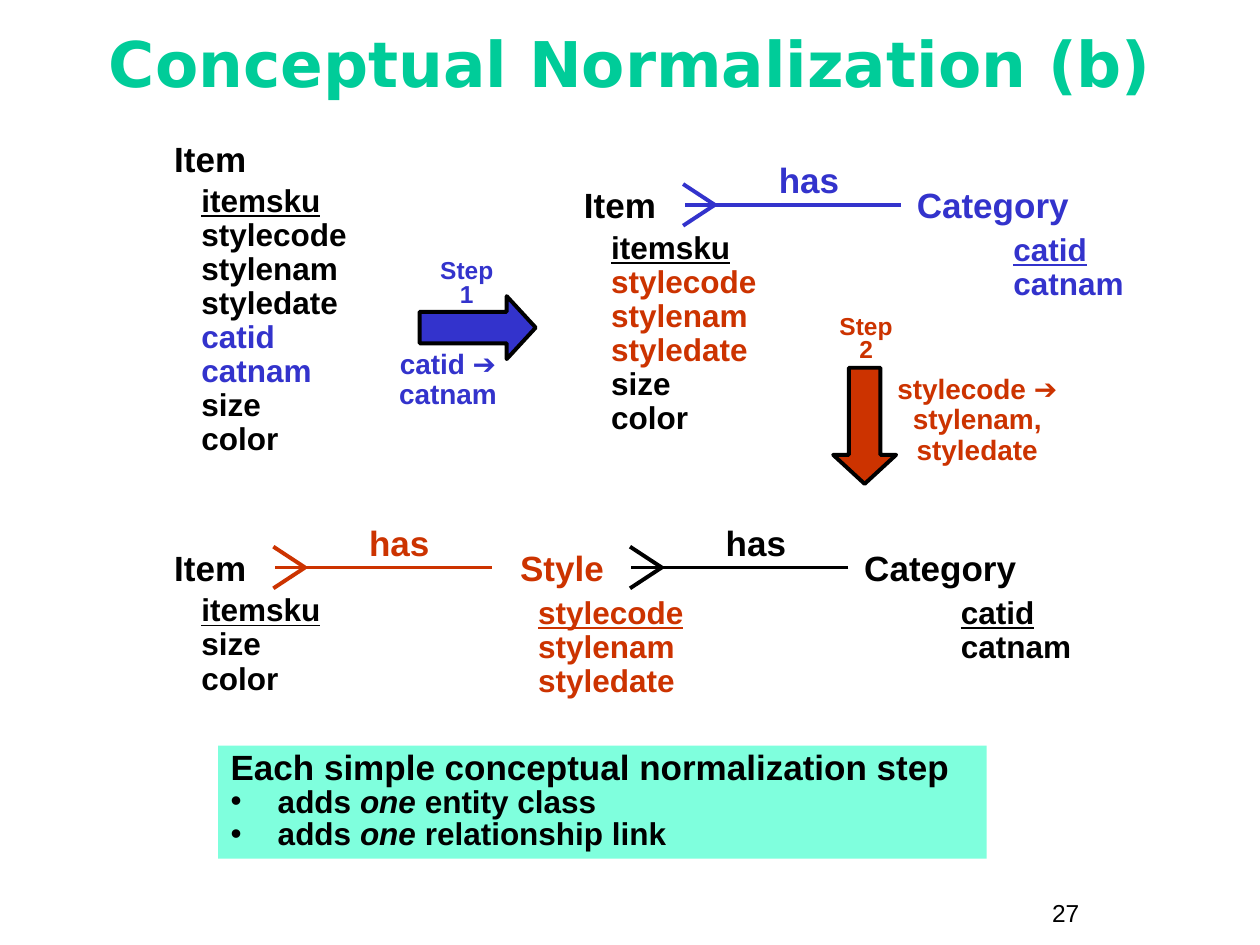
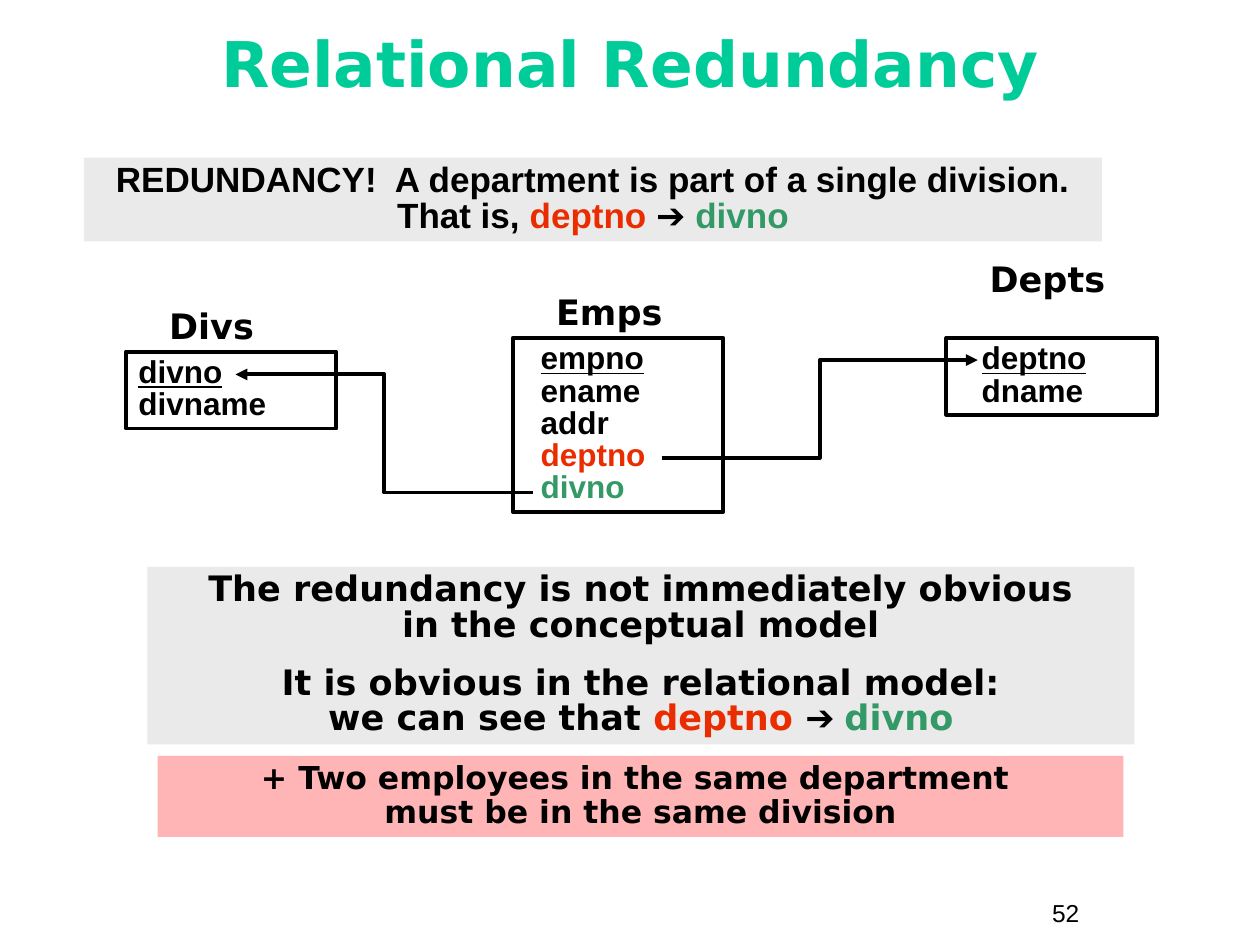
from collections import namedtuple

from lxml import etree
from pptx import Presentation
from pptx.dml.color import RGBColor
from pptx.enum import shapes, text
from pptx.oxml import ns
from pptx.util import Cm, Pt

# Shared style
BLACK = RGBColor(0x00, 0x00, 0x00)
WHITE = RGBColor(0xFF, 0xFF, 0xFF)
TEAL = RGBColor(0x00, 0xCC, 0x99)
BLUE = RGBColor(0x33, 0x33, 0xCC)
RUST = RGBColor(0xCC, 0x33, 0x00)
RED = RGBColor(0xEA, 0x2D, 0x00)
GREEN = RGBColor(0x33, 0x99, 0x66)
MINT = RGBColor(0x7F, 0xFF, 0xDD)
GRAY = RGBColor(0xEA, 0xEA, 0xEA)
PINK = RGBColor(0xFF, 0xB5, 0xB5)
SANS, DISPLAY = "Arial", "DejaVu Sans"
LINE_WIDTH = Pt(2.25)
LEFT, CENTER = text.PP_ALIGN.LEFT, text.PP_ALIGN.CENTER
TOP, MIDDLE = text.MSO_ANCHOR.TOP, text.MSO_ANCHOR.MIDDLE
RECTANGLE = shapes.MSO_SHAPE.RECTANGLE

Span = namedtuple("Span", "words color font underline italic",
                  defaults=(BLACK, SANS, False, False))


def sub_element(parent, tag, **attributes):
    return etree.SubElement(parent, ns.qn(tag), attributes)


# Text
def write(box, paragraphs, size, align=LEFT, spacing=1.0, before=0, indent=0,
          anchor=TOP, wrap=True, bold=True):
    """Fill a box with paragraphs, each a list of spans."""
    frame = box.text_frame
    frame.auto_size = text.MSO_AUTO_SIZE.NONE
    frame.word_wrap = wrap
    frame.vertical_anchor = anchor
    frame.margin_left = frame.margin_right = Cm(0.25)
    frame.margin_top = frame.margin_bottom = Cm(0.13)
    for index, spans in enumerate(paragraphs):
        para = frame.add_paragraph() if index else frame.paragraphs[0]
        if indent:
            para._p.get_or_add_pPr().set("marL", str(Cm(indent)))
        para.alignment = align
        para.line_spacing = spacing
        para.space_before = Pt(before if index else 0)
        for span in spans:
            add_span(para, span, size, bold)
    return frame


def add_span(para, span, size, bold):
    for index, line in enumerate(span.words.split("\n")):
        if index:
            para.add_line_break()
        run = para.add_run()
        run.text = line
        run.font.name = span.font
        run.font.size = Pt(size)
        run.font.bold = bold
        run.font.italic = span.italic
        run.font.underline = span.underline
        run.font.color.rgb = span.color


def attribute_lines(names, color=BLACK, marked=None):
    """One paragraph per attribute; the first is the underlined key."""
    marked = marked or {}
    return [[Span(name, marked.get(name, color), underline=index == 0)]
            for index, name in enumerate(names)]


def text_box(page, x, y, width, height, paragraphs, size, **layout):
    box = page.shapes.add_textbox(Cm(x), Cm(y), Cm(width), Cm(height))
    write(box, paragraphs, size, **layout)


# Shapes and lines
def add_box(page, x, y, width, height, fill=None, line=None, preset=RECTANGLE):
    box = page.shapes.add_shape(preset, Cm(x), Cm(y), Cm(width), Cm(height))
    box.shadow.inherit = False
    if fill is None:
        box.fill.background()
    else:
        box.fill.solid()
        box.fill.fore_color.rgb = fill
    if line is None:
        box.line.fill.background()
    else:
        box.line.color.rgb = line
        box.line.width = LINE_WIDTH
    return box


def add_line(page, start, end, color=BLACK, bent=False, arrow=False):
    kind = shapes.MSO_CONNECTOR.ELBOW if bent else shapes.MSO_CONNECTOR.STRAIGHT
    line = page.shapes.add_connector(kind, *map(Cm, start + end))
    line.line.color.rgb = color
    line.line.width = LINE_WIDTH
    if arrow:
        sub_element(line.line._get_or_add_ln(), "a:tailEnd", type="triangle")
    sub_element(line._element.spPr, "a:effectLst")


# Frame shared by all pages
def new_page(deck, title, number):
    page = deck.slides.add_slide(deck.slide_layouts[5])
    heading = page.shapes.title
    heading.left, heading.top = Cm(0.85), Cm(0.21)
    heading.width, heading.height = Cm(23.71), Cm(2.33)
    write(heading, [[Span(title, TEAL, DISPLAY)]], 36, align=CENTER,
          spacing=0.85, anchor=MIDDLE)
    text_box(page, 20.96, 17.98, 2.33, 0.86, [[Span(number)]], 14, bold=False)
    return page


# Conceptual model parts
def entity(page, x, y, width, name, lines, list_dx, list_width, color=BLACK,
           link=None):
    """Entity name, its attributes and an optional link leaving to the right."""
    label = add_box(page, x, y, width, 1.7, line=WHITE)
    write(label, [[Span(name, color)]], 20, align=CENTER, anchor=MIDDLE,
          wrap=False)
    if link is not None:
        many_to_one(page, x + width, y + 0.85, link)
    list_dy = 1.27 if name == "Item" else 1.32
    text_box(page, x + list_dx, y + list_dy, list_width,
             0.25 + 0.69 * len(lines), lines, 18, spacing=0.9)


def many_to_one(page, x, y, color):
    add_line(page, (x + 4.4, y), (x + 0.03, y), color)
    for toe in (-0.42, 0.42):
        add_line(page, (x + 0.64, y), (x, y + toe), color)
    text_box(page, x + 0.42, y - 1.06, 4.24, 1.12, [[Span("has", color)]], 20,
             align=CENTER)


def step(page, x, y, color, label, label_offset, note, note_box, turn=0):
    """Block arrow with its step label and dependency, placed relative to it."""
    arrow = add_box(page, x, y, 2.34, 1.27, color, BLACK,
                    shapes.MSO_SHAPE.RIGHT_ARROW)
    arrow.adjustments[0], arrow.adjustments[1] = 0.5, 0.46
    arrow.rotation = turn
    dx, dy, width, height = note_box
    text_box(page, x + dx, y + dy, width, height, [[Span(note, color)]], 16,
             align=CENTER, spacing=0.9)
    dx, dy = label_offset
    text_box(page, x + dx, y + dy, 1.9, 1.22, [[Span(label, color)]], 14,
             align=CENTER, spacing=0.8)


def summary(page, x, y, width, height):
    box = add_box(page, x, y, width, height, MINT)
    frame = write(box, [[Span("Each simple conceptual normalization step")]],
                  20, spacing=0.85)
    for added in ("entity class", "relationship link"):
        para = frame.add_paragraph()
        properties = para._p.get_or_add_pPr()
        properties.set("marL", str(Cm(0.95)))
        properties.set("indent", str(-Cm(0.95)))
        sub_element(properties, "a:buFont", typeface=SANS)
        sub_element(properties, "a:buChar", char="•")
        para.alignment = LEFT
        para.line_spacing = 0.85
        for span in (Span("adds "), Span("one", italic=True), Span(" " + added)):
            add_span(para, span, 18, True)


def normalization_page(deck):
    page = new_page(deck, "Conceptual Normalization (b)", "27")
    style = ["stylecode", "stylenam", "styledate"]
    category = ["catid", "catnam"]
    plain = ["size", "color"]

    # Starting entity
    entity(page, 2.97, 2.34, 2.54, "Item",
           attribute_lines(["itemsku"] + style + category + plain,
                           marked=dict.fromkeys(category, BLUE)), 0.84, 6.15)

    # Category split off
    entity(page, 11.23, 3.28, 2.54, "Item",
           attribute_lines(["itemsku"] + style + plain,
                           marked=dict.fromkeys(style, RUST)),
           0.84, 4.01, link=BLUE)
    entity(page, 18.21, 3.28, 3.61, "Category",
           attribute_lines(category, BLUE), 1.97, 2.9, BLUE)

    # Style split off
    entity(page, 2.97, 10.59, 2.54, "Item",
           attribute_lines(["itemsku"] + plain), 0.84, 2.97, link=RUST)
    entity(page, 9.96, 10.59, 2.74, "Style",
           attribute_lines(style, RUST), 0.64, 3.61, RUST, link=BLACK)
    entity(page, 17.15, 10.59, 3.61, "Category",
           attribute_lines(category), 1.97, 2.9)

    # Steps and summary
    step(page, 8.46, 5.97, BLUE, "Step 1", (0, -0.84),
         "catid ➔ catnam", (-1.12, 0.96, 3.38, 1.47))
    step(page, 16.26, 7.95, RUST, "Step 2", (0.25, -1.7),
         "stylecode ➔ stylenam, styledate", (1.32, -0.51, 4.24, 2.08), turn=90)
    summary(page, 4.4, 15.03, 15.49, 2.28)


# Relational model parts
def relation(page, x, y, height, name, lines, indent=0, name_dy=-1.09):
    text_box(page, x + 0.62, y + name_dy, 3.0, 1.12,
             [[Span(name, font=DISPLAY)]], 20)
    box = add_box(page, x, y, 4.24, height, line=BLACK)
    write(box, lines, 18, spacing=0.85, indent=indent)


def banner(page, x, y, width, height, fill, paragraphs, size=20, spacing=0.85):
    box = add_box(page, x, y, width, height, fill)
    write(box, paragraphs, size, align=CENTER, spacing=spacing, before=12.5)


def dependency(font):
    return [Span("deptno ", RED, font), Span("➔ "), Span("divno", GREEN, font)]


def redundancy_page(deck):
    page = new_page(deck, "Relational Redundancy", "52")

    # Relations and foreign keys
    relation(page, 10.34, 6.81, 3.51, "Emps",
             attribute_lines(["empno", "ename", "addr", "deptno", "divno"],
                             marked={"deptno": RED, "divno": GREEN}), 0.31)
    relation(page, 19.08, 6.81, 1.55, "Depts",
             attribute_lines(["deptno", "dname"]), 0.46, name_dy=-1.75)
    relation(page, 2.54, 7.09, 1.55, "Divs",
             attribute_lines(["divno", "divname"]))
    add_line(page, (13.34, 9.23), (19.71, 7.26), bent=True, arrow=True)
    add_line(page, (10.75, 9.93), (4.75, 7.55), bent=True, arrow=True)

    # Statements
    banner(page, 1.69, 3.18, 20.53, 1.69, GRAY, [
        [Span("REDUNDANCY!  A department is part of a single division.\n"
              "That is, "), *dependency(SANS)]])
    banner(page, 2.97, 11.43, 19.9, 3.58, GRAY, [
        [Span("The redundancy is not immediately obvious\n"
              "in the conceptual model", font=DISPLAY)],
        [Span("It is obvious in the relational model:\nwe can see that ",
              font=DISPLAY), *dependency(DISPLAY)]])
    banner(page, 3.18, 15.24, 19.47, 1.63, PINK, [
        [Span("+ Two employees in the same department \n"
              "must be in the same division", font=DISPLAY)]], 18, 0.9)


def main():
    deck = Presentation()
    deck.slide_width, deck.slide_height = Cm(25.4), Cm(19.05)
    normalization_page(deck)
    redundancy_page(deck)
    deck.save("out.pptx")


if __name__ == "__main__":
    main()
